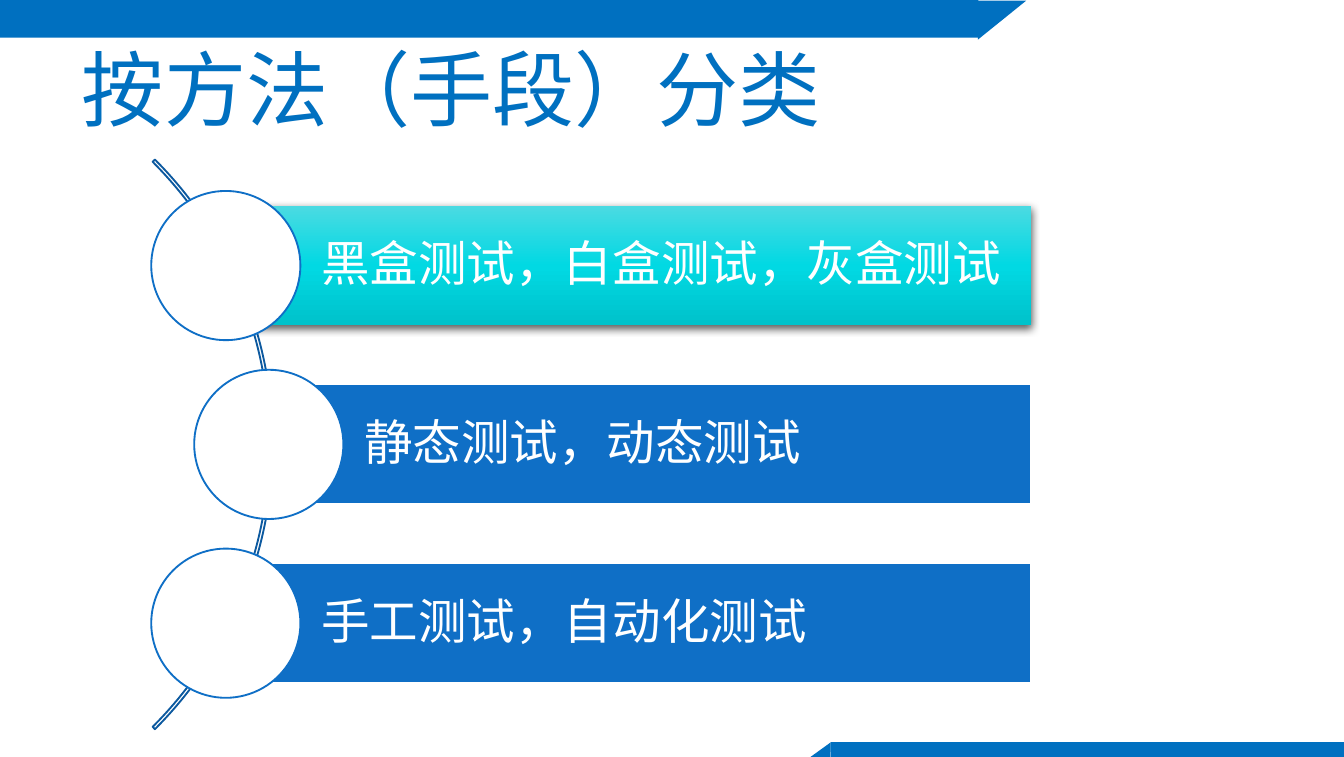
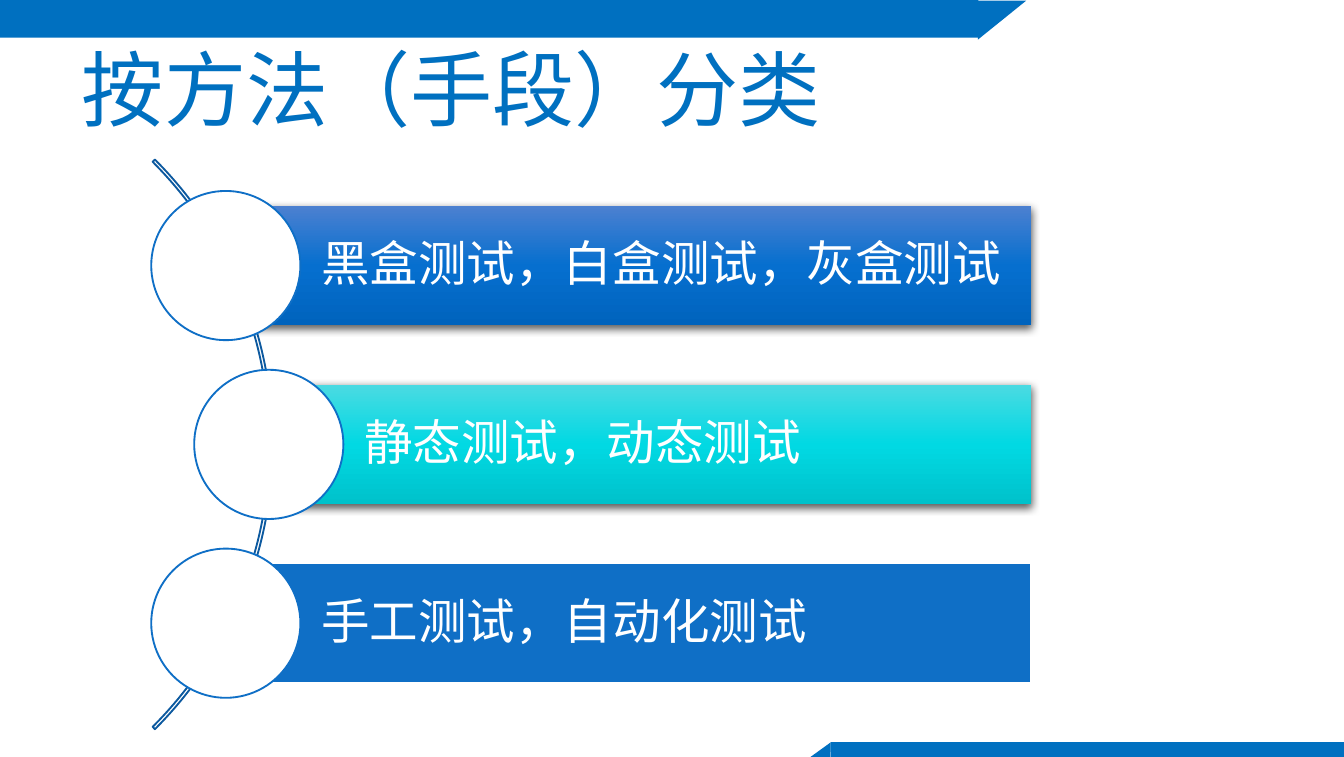
from lxml import etree
from pptx import Presentation
from pptx import util as u
from pptx.dml.color import RGBColor
from pptx.enum import shapes, text
from pptx.oxml import ns

COLORS = {
    "band": "0070C0",
    "bar": "0F6FC6",
    "arc": "0C599F",
    "white": "FFFFFF",
    "shadow": "000000",
}
GRADIENTS = {
    "current": ("4BDAE2", "01D9E3", "00C2CB"),
    "visited": ("4C80D0", "066FCF", "0063BD"),
}
TITLE_FONT, BODY_FONT = "Montserrat", "Arial"
TITLE = "按方法（手段）分类"
TOPICS = ["黑盒测试，白盒测试，灰盒测试", "静态测试，动态测试", "手工测试，自动化测试"]
BAR_LEFTS = [1.68, 2, 1.68]
BAR_RIGHT, BAR_HEIGHT, BAR_TOP, BAR_STEP = 7.67, 0.89, 1.53, 1.33
CIRCLE = 1.11
# State of each topic bar, one list per slide
SLIDES = [["current", "plain", "plain"], ["visited", "current", "plain"]]


def color(name):
    return RGBColor.from_string(COLORS[name])


def sub(parent, tag, **attributes):
    return etree.SubElement(parent, ns.qn(tag), attributes)


class Deck:
    def __init__(self):
        self.deck = Presentation()
        self.deck.slide_width = u.Inches(10)
        self.deck.slide_height = u.Inches(5.63)
        self.page = None

    def new_page(self):
        self.page = self.deck.slides.add_slide(self.deck.slide_layouts[5])

    def shape(self, kind, left, top, width, height, fill=None, line=None, turn=0):
        box = self.page.shapes.add_shape(kind, *map(u.Inches, (left, top, width, height)))
        box.shadow.inherit = False
        box.rotation = turn
        if fill:
            box.fill.solid()
            box.fill.fore_color.rgb = color(fill)
        else:
            box.fill.background()
        if line:
            box.line.color.rgb = color(line)
            box.line.width = u.Pt(1)
        else:
            box.line.fill.background()
        return box

    def label(self, box, words, font, size, ink):
        frame = box.text_frame
        frame.word_wrap = True
        frame.auto_size = text.MSO_AUTO_SIZE.NONE
        frame.vertical_anchor = text.MSO_ANCHOR.MIDDLE
        para = frame.paragraphs[0]
        para.alignment = text.PP_ALIGN.LEFT
        span = para.add_run()
        span.text = words
        span.font.name = font
        span.font.size = u.Pt(size)
        span.font.color.rgb = color(ink)
        return frame

    def bands(self):
        rectangle = shapes.MSO_SHAPE.RECTANGLE
        triangle = shapes.MSO_SHAPE.RIGHT_TRIANGLE
        self.shape(rectangle, 0, 0, 10, 0.28, "band")
        self.shape(rectangle, 7.28, 0, 2.72, 0.38, "white")
        self.shape(rectangle, 6.18, 5.52, 3.84, 0.12, "band")
        self.shape(triangle, 7.31, -0.03, 0.29, 0.36, "band", turn=90)
        self.shape(triangle, 6.04, 5.5, 0.12, 0.16, "band", turn=271)

    def title(self, words):
        box = self.page.shapes.title
        box.left, box.top, box.width, box.height = map(u.Inches, (0.51, 0.3, 9, 0.71))
        self.label(box, words, TITLE_FONT, 44, "band")

    def arc(self):
        box = self.shape(shapes.MSO_SHAPE.BLOCK_ARC, -3.96, 0.31, 5.99, 5.99, line="arc")
        # Angles from 315 to 45 degrees, in units of 5/3 degree
        for index, value in enumerate((189, 27, 0.004)):
            box.adjustments[index] = value

    def highlight(self, box, stops):
        """Give a bar a vertical gradient and a soft shadow below."""
        box.fill.gradient()
        box.fill.gradient_angle = 270
        properties = box._element.spPr
        stop_list = properties.find(".//" + ns.qn("a:gsLst"))
        stop_list.clear()
        for index, shade in enumerate(stops):
            stop = sub(stop_list, "a:gs", pos=str(index * 50000))
            sub(stop, "a:srgbClr", val=shade)
        shadow = sub(properties.find(ns.qn("a:effectLst")), "a:outerShdw",
                     blurRad=str(u.Pt(4.5)), dist=str(u.Pt(1.5)), dir="5400000",
                     algn="ctr", rotWithShape="0")
        shade = sub(shadow, "a:srgbClr", val=COLORS["shadow"])
        sub(shade, "a:alpha", val="63000")

    def topic(self, words, left, top, state):
        plain = state == "plain"
        bar = self.shape(shapes.MSO_SHAPE.RECTANGLE, left, top, BAR_RIGHT - left, BAR_HEIGHT,
                         "bar", "white" if plain else None)
        if not plain:
            self.highlight(bar, GRADIENTS[state])
        frame = self.label(bar, words, BODY_FONT, 26, "white")
        frame.paragraphs[0].line_spacing = 0.9
        frame.margin_left = u.Inches(0.71)
        frame.margin_top = frame.margin_right = frame.margin_bottom = u.Inches(0.07)
        # Circle centred on the left edge of the bar
        self.shape(shapes.MSO_SHAPE.OVAL, left - CIRCLE / 2, top + (BAR_HEIGHT - CIRCLE) / 2,
                   CIRCLE, CIRCLE, "white", "bar")


def main():
    show = Deck()
    for states in SLIDES:
        show.new_page()
        show.bands()
        show.title(TITLE)
        show.arc()
        for row, (words, left, state) in enumerate(zip(TOPICS, BAR_LEFTS, states)):
            show.topic(words, left, BAR_TOP + row * BAR_STEP, state)
    show.deck.save("out.pptx")


if __name__ == "__main__":
    main()
